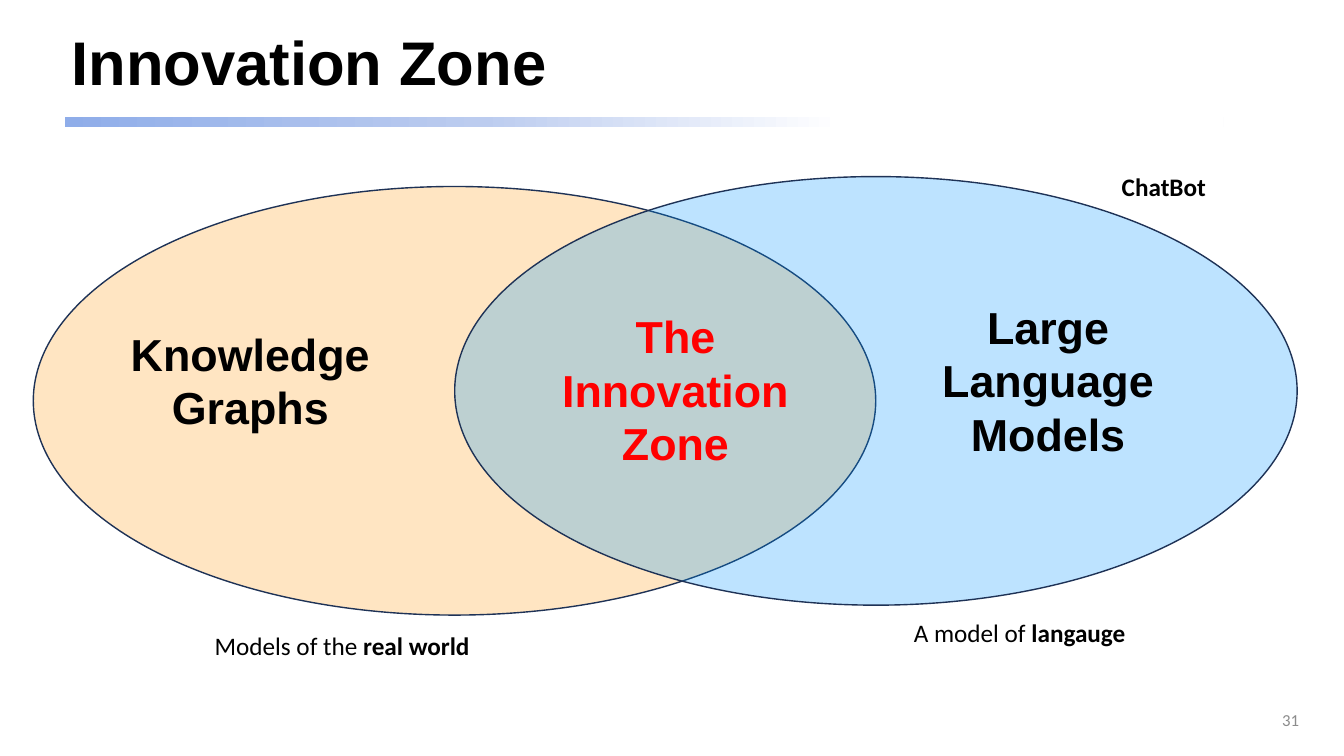
from copy import deepcopy

from lxml.etree import SubElement
from pptx import Presentation
from pptx.dml.color import RGBColor
from pptx.enum.shapes import MSO_SHAPE
from pptx.enum.text import MSO_ANCHOR, PP_ALIGN
from pptx.oxml.ns import qn
from pptx.util import Cm, Pt


def color(hex_code):
    return RGBColor.from_string(hex_code)


def style_run(run, size, font_name, hex_code, bold):
    run.font.size = Pt(size)
    run.font.name = font_name
    run.font.color.rgb = color(hex_code)
    run.font.bold = bold


def add_text(slide, box, text, size, font_name="Calibri", hex_code="000000",
             bold=False, align=PP_ALIGN.LEFT, anchor=MSO_ANCHOR.TOP, wrap=True):
    frame = slide.shapes.add_textbox(*map(Cm, box)).text_frame
    frame.text = text
    frame.word_wrap = wrap
    frame.vertical_anchor = anchor
    for paragraph in frame.paragraphs:
        paragraph.alignment = align
        for run in paragraph.runs:
            style_run(run, size, font_name, hex_code, bold)
    return frame


def add_title(slide, text):
    title = add_text(slide, (1.55, 0.05, 29.21, 3.2), text, 44, "Arial",
                     bold=True, anchor=MSO_ANCHOR.MIDDLE)
    title.paragraphs[0].line_spacing = 0.9


def add_zone_label(slide, box, text, hex_code="000000"):
    add_text(slide, box, text, 32, "Arial", hex_code, bold=True,
             align=PP_ALIGN.CENTER, wrap=False)


def add_caption(slide, left, top, opening, emphasis):
    caption = add_text(slide, (left, top, 7.26, 1.02), opening, 18)
    ending = caption.paragraphs[0].add_run()
    ending.text = emphasis
    style_run(ending, 18, "Calibri", "000000", True)


def add_title_rule(slide):
    rule = slide.shapes.add_shape(
        MSO_SHAPE.RECTANGLE, Cm(1.63), Cm(2.95), Cm(29.21), Cm(0.25))
    rule.shadow.inherit = False
    rule.line.fill.background()
    rule.fill.gradient()
    rule.fill.gradient_angle = 0
    stop_list = rule._element.spPr.find(".//" + qn("a:gsLst"))
    stop_list.append(deepcopy(stop_list[-1]))
    fade = [(0, "8FADE9"), (0.36, "BCCCEF"), (0.67, "FFFFFF")]
    for stop, (position, hex_code) in zip(rule.fill.gradient_stops, fade):
        stop.position = position
        stop.color.rgb = color(hex_code)


def add_zone(slide, left, top, hex_code, opacity):
    zone = slide.shapes.add_shape(
        MSO_SHAPE.OVAL, Cm(left), Cm(top), Cm(21.23), Cm(10.8))
    zone.shadow.inherit = False
    zone.fill.solid()
    zone.fill.fore_color.rgb = color(hex_code)
    fill_color = zone._element.spPr.find(
        qn("a:solidFill") + "/" + qn("a:srgbClr"))
    SubElement(fill_color, qn("a:alpha"), val=str(opacity * 1000))
    zone.line.color.rgb = color("1E3256")
    zone.line.width = Pt(1)


def main():
    presentation = Presentation()
    presentation.slide_width = Cm(33.87)
    presentation.slide_height = Cm(19.05)
    slide = presentation.slides.add_slide(presentation.slide_layouts[6])

    add_title_rule(slide)
    add_title(slide, "Innovation Zone")
    add_zone(slide, 0.84, 4.7, "FF9300", 24)
    add_zone(slide, 11.46, 4.45, "0096FF", 26)
    add_zone_label(slide, (3.02, 8.1, 6.58, 3), "Knowledge\nGraphs")
    add_zone_label(slide, (23.47, 7.42, 5.89, 4.37), "Large\nLanguage\nModels")
    add_zone_label(slide, (13.89, 7.65, 6.27, 4.37),
                   "The\nInnovation\nZone", "FF0000")
    add_text(slide, (25.37, 17.63, 7.62, 1.02), "31", 12, hex_code="8C8C8C",
             align=PP_ALIGN.RIGHT, anchor=MSO_ANCHOR.MIDDLE)
    add_caption(slide, 22.78, 15.42, "A model of ", "langauge")
    add_caption(slide, 5.16, 15.75, "Models of the ", "real world")
    add_text(slide, (28.02, 4.19, 3.66, 1.02), "ChatBot", 18, bold=True)

    presentation.save("out.pptx")


if __name__ == "__main__":
    main()
